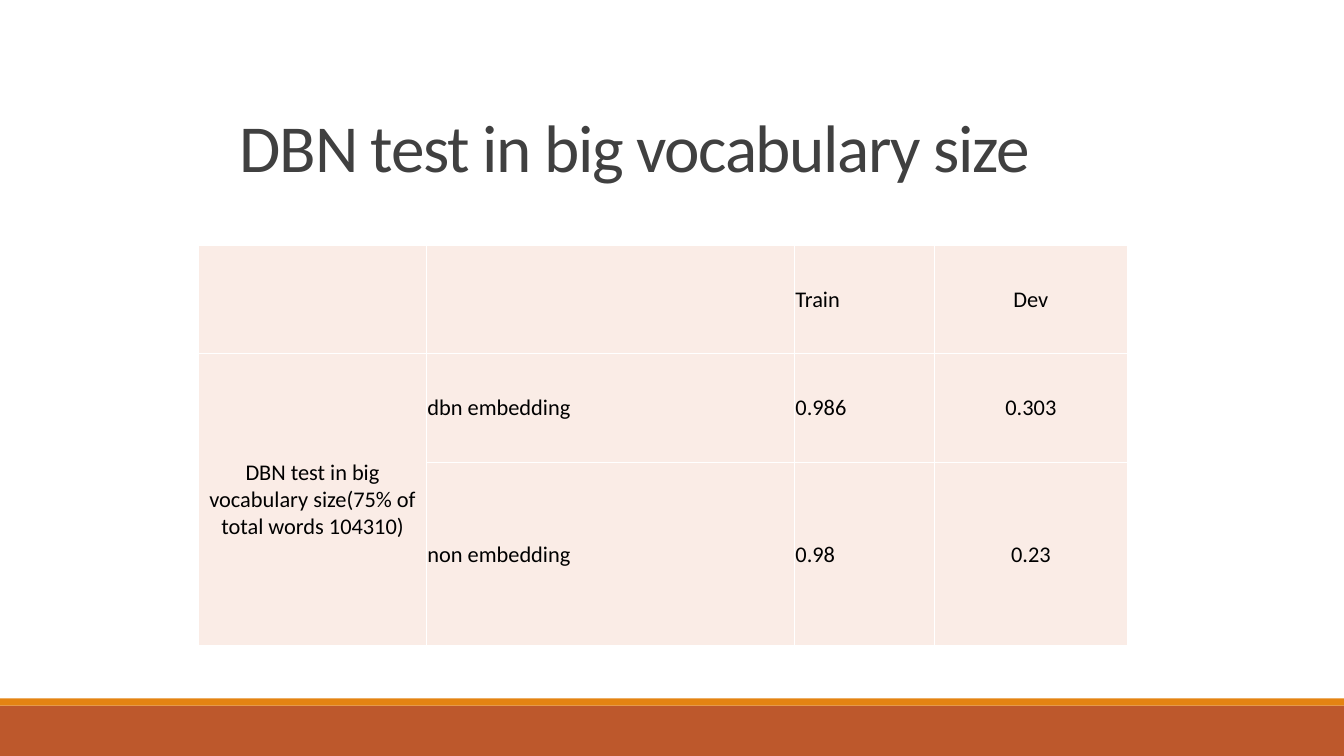
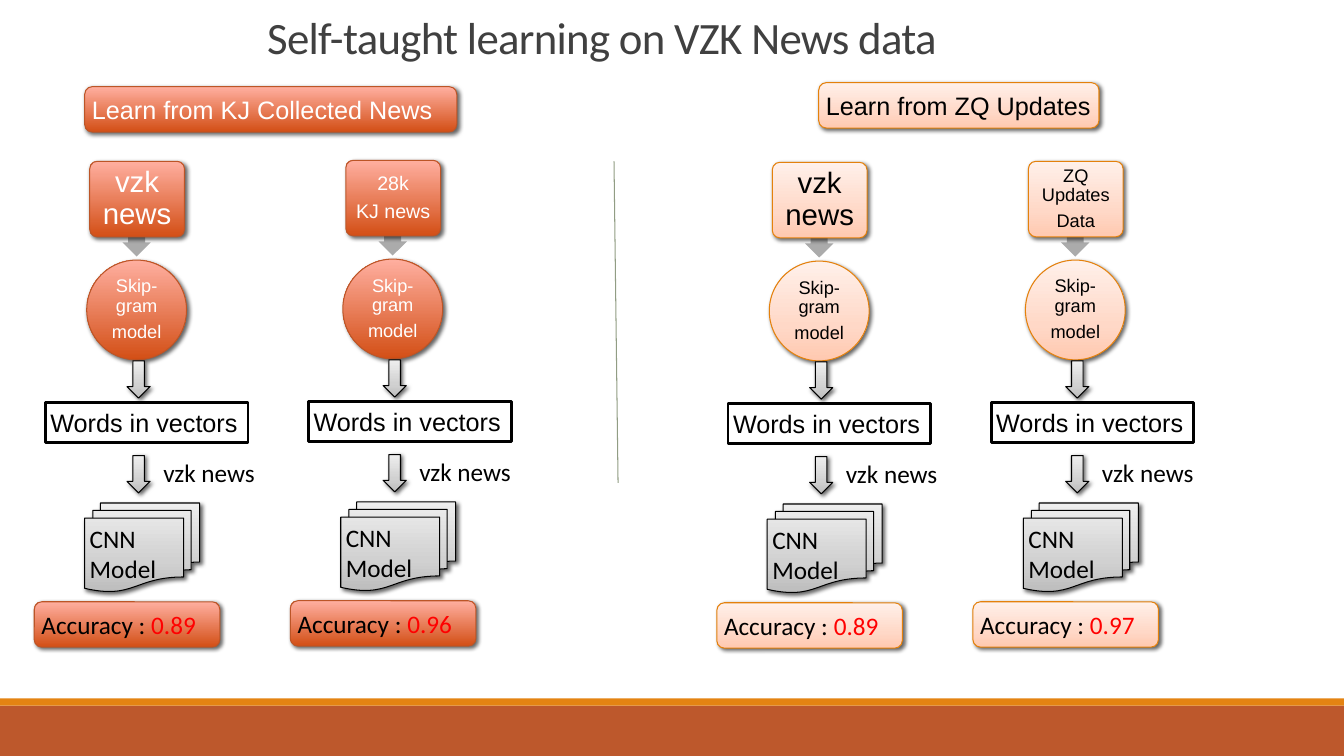
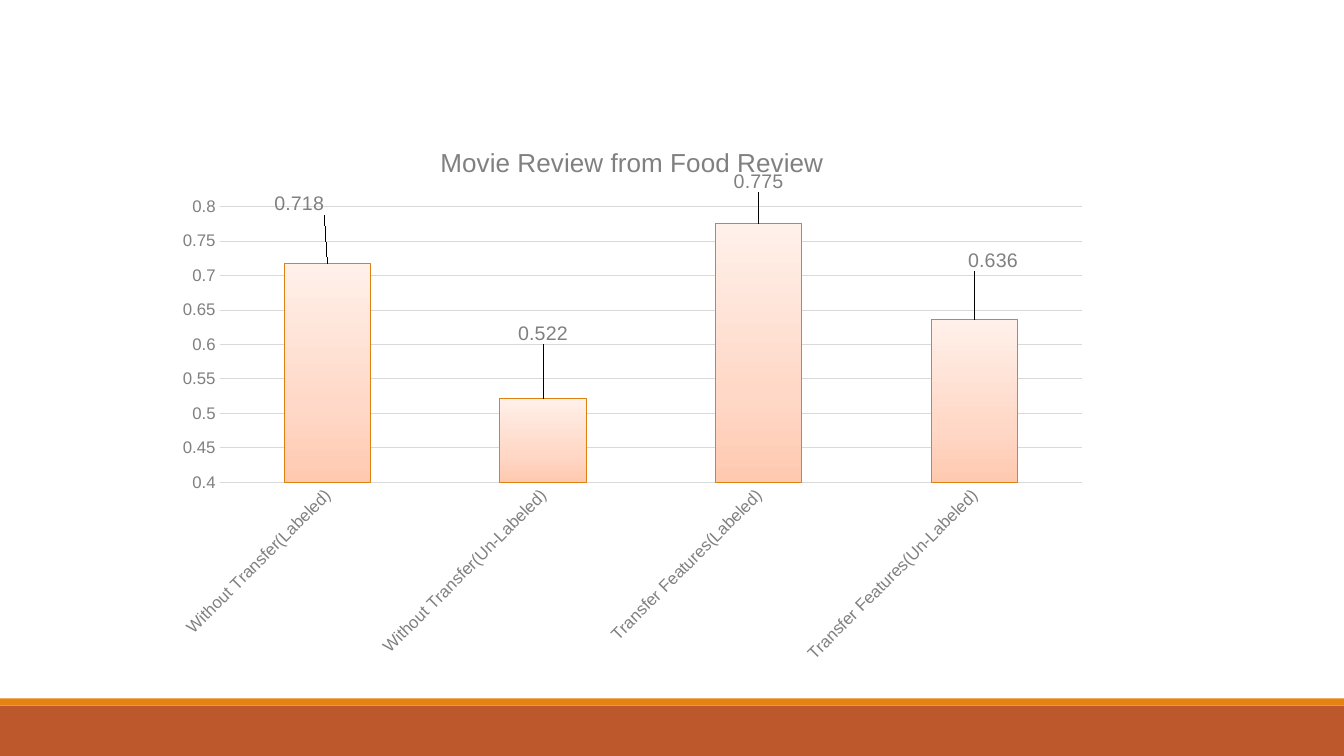
"""Build three slides on word embeddings and transfer learning results."""
from lxml.etree import SubElement
from pptx import Presentation
from pptx.chart.data import CategoryChartData
from pptx.dml.color import RGBColor
from pptx.enum.chart import XL_CHART_TYPE, XL_LABEL_POSITION, XL_TICK_MARK
from pptx.enum.shapes import MSO_CONNECTOR, MSO_SHAPE
from pptx.enum.text import MSO_ANCHOR, MSO_AUTO_SIZE, PP_ALIGN
from pptx.oxml.ns import qn
from pptx.util import Inches, Pt

WIDTH, HEIGHT = 13.33, 7.5
WHITE, BLACK = RGBColor(0xFF, 0xFF, 0xFF), RGBColor(0, 0, 0)
RED = RGBColor(0xFF, 0, 0)
RUST, ORANGE = RGBColor(0xBD, 0x58, 0x2C), RGBColor(0xE4, 0x83, 0x12)
TITLE_GREY, CHART_GREY = RGBColor(0x40, 0x40, 0x40), RGBColor(0x80, 0x80, 0x80)
ARROW_GREY, GRID_GREY = RGBColor(0xAB, 0xAB, 0xAB), RGBColor(0xD9, 0xD9, 0xD9)
SAGE, BLUSH = RGBColor(0x91, 0x9D, 0x84), RGBColor(0xFA, 0xEC, 0xE6)
DARK_EDGE, LIGHT_EDGE = RGBColor(0xBC, 0x55, 0x27), RGBColor(0xE4, 0x81, 0x0C)
BAR_EDGE = RGBColor(0xDF, 0x80, 0x12)
EMBER = [(0, RGBColor(0xD3, 0x4F, 0x16)), (100, RGBColor(0xFF, 0xAF, 0xA0))]
PEACH = [(0, RGBColor(0xFF, 0xC9, 0xB0)), (35, RGBColor(0xFF, 0xD8, 0xC7)),
         (100, RGBColor(0xFF, 0xF0, 0xEA))]
SILVER = [(0, RGBColor(0xBD, 0xBD, 0xBD)), (35, RGBColor(0xD1, 0xD1, 0xD1)),
          (100, RGBColor(0xEE, 0xEE, 0xEE))]
CENTER, LEFT = PP_ALIGN.CENTER, PP_ALIGN.LEFT

BANDS = [(7, 0.5, RUST), (6.93, 0.07, ORANGE)]

COLUMN_WIDTHS = [2.26, 3.65, 1.39, 1.91]
ROW_HEIGHTS = [1.08, 1.08, 1.82]
COLUMN_ALIGNS = [CENTER, LEFT, LEFT, CENTER]
SCORES = [
    ["", "", "Train", "Dev"],
    ["DBN test in big vocabulary size(75% of total words 104310)",
     "dbn embedding", "0.986", "0.303"],
    ["", "non embedding", "0.98", "0.23"],
]

PANELS = [
    {"heading": "Learn from KJ Collected News", "heading_at": (0.84, 0.86, 3.69, 0.45),
     "fill": EMBER, "edge": DARK_EDGE, "ink": WHITE,
     "branches": [(["vzk news"], 21, "0.89"), (["28k", "KJ news"], 14, "0.96")]},
    {"heading": "Learn from ZQ Updates", "heading_at": (8.12, 0.82, 2.78, 0.45),
     "fill": PEACH, "edge": LIGHT_EDGE, "ink": BLACK,
     "branches": [(["vzk news"], 21, "0.89"), (["ZQ Updates", "Data"], 13, "0.97")]},
]
PANEL_STEP, BRANCH_STEP, WORDS_SHIFT = (6.77, 0.01), (2.54, -0.01), 0.07

REVIEW_TITLE = "Movie Review from Food Review"
REVIEW_SCORES = {
    "Without Transfer(Labeled)": 0.718,
    "Without Transfer(Un-Labeled)": 0.522,
    "Transfer Features(Labeled)": 0.775,
    "Transfer Features(Un-Labeled)": 0.636,
}
LABEL_OFFSETS = [(-0.03, -0.08), (0, -0.09), (0, -0.05), (0.02, -0.08)]
PLOT_SHARES = {"x": 0.06, "y": 0.15, "w": 0.92, "h": 0.5}


def write(frame, paragraphs, size=18, font="Calibri", color=BLACK, align=LEFT,
          anchor=None, inset=None, line=None, after=None, tracking=None):
    """Fill a text frame; a paragraph is a string or a list of (text, colour) runs."""
    if inset is not None:
        frame.word_wrap, frame.auto_size = True, MSO_AUTO_SIZE.NONE
        frame.margin_left = frame.margin_right = Inches(inset)
        frame.margin_top = frame.margin_bottom = Inches(inset)
        frame.vertical_anchor = anchor or MSO_ANCHOR.MIDDLE
    for index, content in enumerate(paragraphs):
        paragraph = frame.add_paragraph() if index else frame.paragraphs[0]
        paragraph.alignment = align
        if line:
            paragraph.line_spacing = line
        if after:
            paragraph.space_after = Pt(after)
        runs = [(content, color)] if isinstance(content, str) else content
        for text, ink in runs:
            run = paragraph.add_run()
            run.text = text
            run.font.size, run.font.name = Pt(size), font
            run.font.color.rgb = ink
            if tracking:
                run.font._element.set("spc", str(int(tracking * 100)))


def paint(fill, owner, stops):
    """Fill bottom to top with a gradient."""
    fill.gradient()
    fill.gradient_angle = 90
    stop_list = next(owner.element.iter(qn("a:gsLst")))
    for stop in list(stop_list):
        stop_list.remove(stop)
    for share, color in stops:
        stop = SubElement(stop_list, qn("a:gs"), pos=str(share * 1000))
        SubElement(stop, qn("a:srgbClr"), val=str(color))


def draw(shapes, preset, box, fill, edge=None, weight=0.75, shadow=False):
    """Add a preset shape with a plain or gradient fill."""
    shape = shapes.add_shape(preset, *map(Inches, box))
    if isinstance(fill, list):
        paint(shape.fill, shape, fill)
    else:
        shape.fill.solid()
        shape.fill.fore_color.rgb = fill
    if edge is None:
        shape.line.fill.background()
    else:
        shape.line.color.rgb, shape.line.width = edge, Pt(weight)
    shape.shadow.inherit = False
    if shadow:
        effects = shape.element.spPr.find(qn("a:effectLst"))
        outer = SubElement(effects, qn("a:outerShdw"), blurRad=str(Pt(3)),
                           dist=str(Pt(2)), dir="2700000", rotWithShape="0")
        tint = SubElement(outer, qn("a:srgbClr"), val=str(BLACK))
        SubElement(tint, qn("a:alpha"), val="60000")
    return shape


def add_title(slide, text, box, **style):
    title = slide.shapes.title
    title.left, title.top, title.width, title.height = map(Inches, box)
    write(title.text_frame, [text], color=TITLE_GREY, anchor=MSO_ANCHOR.BOTTOM,
          inset=0.05, line=0.85, **style)


def add_bands(deck, slide):
    """Place the footer bands on the slide master."""
    for index, (top, height, color) in enumerate(BANDS):
        band = draw(slide.shapes, MSO_SHAPE.RECTANGLE, (0, top, WIDTH, height), color)
        band.element.nvSpPr.cNvPr.set("id", str(20 + index))
        deck.slide_master.shapes.element.insert(2 + index, band.element)


def add_scores(slide):
    table = slide.shapes.add_table(
        len(ROW_HEIGHTS), len(COLUMN_WIDTHS), Inches(1.97), Inches(2.43),
        Inches(sum(COLUMN_WIDTHS)), Inches(sum(ROW_HEIGHTS))).table
    table.first_row = table.horz_banding = False
    for column, width in zip(table.columns, COLUMN_WIDTHS):
        column.width = Inches(width)
    for row, height, texts in zip(table.rows, ROW_HEIGHTS, SCORES):
        row.height = Inches(height)
        for cell, text, align in zip(row.cells, texts, COLUMN_ALIGNS):
            cell.margin_left = cell.margin_right = Inches(0.01)
            cell.margin_top = cell.margin_bottom = Inches(0.01)
            cell.vertical_anchor = MSO_ANCHOR.MIDDLE
            properties = cell._tc.get_or_add_tcPr()
            for side in ("a:lnL", "a:lnR", "a:lnT", "a:lnB"):
                border = SubElement(properties, qn(side), w=str(Pt(1)))
                solid = SubElement(border, qn("a:solidFill"))
                SubElement(solid, qn("a:srgbClr"), val=str(WHITE))
            cell.fill.solid()
            cell.fill.fore_color.rgb = BLUSH
            if text:
                write(cell.text_frame, [text], size=16, align=align)
    table.cell(1, 0).merge(table.cell(2, 0))


def add_branch(slide, x, y, words_x, panel, branch):
    """Draw one pipeline from its corpus down to its accuracy."""
    corpus, corpus_size, accuracy = branch
    themed = {"fill": panel["fill"], "edge": panel["edge"], "shadow": True}
    silver = {"fill": SILVER, "edge": BLACK, "shadow": True}
    label = {"font": "Arial", "color": panel["ink"], "align": CENTER, "line": 0.9}
    learner = slide.shapes.add_group_shape().shapes
    model = draw(learner, MSO_SHAPE.OVAL, (x + 0.52, y + 2.58, 0.99, 0.99), **themed)
    write(model.text_frame, ["Skip-gram", "model"], size=13, inset=0.01, after=4.55, **label)
    feed = draw(learner, MSO_SHAPE.LEFT_ARROW, (x + 0.73, y + 2.12, 0.57, 0.28), ARROW_GREY)
    feed.rotation = 270
    feed.adjustments[0] = 0.6
    source = draw(learner, MSO_SHAPE.ROUNDED_RECTANGLE, (x + 0.55, y + 1.6, 0.94, 0.75), **themed)
    source.adjustments[0] = 0.1
    write(source.text_frame, corpus, size=corpus_size, inset=0.03,
          after=round(corpus_size * 0.35, 2), **label)

    for top in (3.58, 4.52):
        draw(slide.shapes, MSO_SHAPE.DOWN_ARROW, (x + 0.92, y + top, 0.23, 0.37), **silver)
    words = draw(slide.shapes, MSO_SHAPE.RECTANGLE, (words_x, y + 3.99, 2.01, 0.4),
                 WHITE, BLACK, 2)
    write(words.text_frame, ["Words in vectors"], font="Arial", inset=0.05)
    classifier = draw(slide.shapes, MSO_SHAPE.FLOWCHART_MULTIDOCUMENT,
                      (x + 0.5, y + 4.99, 1.14, 0.88), **silver)
    write(classifier.text_frame, ["CNN Model"], inset=0.05)
    test_data = slide.shapes.add_textbox(*map(Inches, (x + 1.23, y + 4.49, 1.17, 0.4)))
    write(test_data.text_frame, ["vzk news"], inset=0.05)
    result = draw(slide.shapes, MSO_SHAPE.ROUNDED_RECTANGLE,
                  (x, y + 5.97, 1.84, 0.45), **themed)
    write(result.text_frame, [[("Accuracy : ", BLACK), (accuracy, RED)]], inset=0.05)


def add_panels(slide):
    for p, panel in enumerate(PANELS):
        for b, branch in enumerate(panel["branches"]):
            x = 0.34 + p * PANEL_STEP[0] + b * BRANCH_STEP[0]
            y = p * PANEL_STEP[1] + b * BRANCH_STEP[1]
            add_branch(slide, x, y, x + 0.11 + b * WORDS_SHIFT, panel, branch)
        heading = draw(slide.shapes, MSO_SHAPE.ROUNDED_RECTANGLE, panel["heading_at"],
                       panel["fill"], panel["edge"], shadow=True)
        write(heading.text_frame, [panel["heading"]], font="Arial",
              color=panel["ink"], inset=0.05)
    divider = slide.shapes.add_connector(
        MSO_CONNECTOR.STRAIGHT, *map(Inches, (6.09, 1.6, 6.13, 4.79)))
    divider.line.color.rgb, divider.line.width = SAGE, Pt(0.75)
    SubElement(divider.element.spPr, qn("a:effectLst"))


def set_layout(parent, index, **values):
    """Insert a manual chart layout given as shares of the chart."""
    for old in parent.findall(qn("c:layout")):
        parent.remove(old)
    layout = SubElement(parent, qn("c:layout"))
    parent.insert(index, layout)
    manual = SubElement(layout, qn("c:manualLayout"))
    for key, value in values.items():
        SubElement(manual, qn("c:" + key), val=str(value))


def style_font(font, size):
    font.name, font.size, font.color.rgb = "Arial", Pt(size), CHART_GREY


def add_reviews(slide):
    data = CategoryChartData()
    data.categories = list(REVIEW_SCORES)
    data.add_series(REVIEW_TITLE, list(REVIEW_SCORES.values()))
    chart = slide.shapes.add_chart(XL_CHART_TYPE.COLUMN_CLUSTERED,
                                   *map(Inches, (1.62, 1.23, 9.3, 5.47)), data).chart
    chart.font.name, chart.font.size = "Arial", Pt(10)
    chart.has_legend = False
    chart.has_title = True
    write(chart.chart_title.text_frame, [REVIEW_TITLE], size=18.6, font="Arial",
          color=CHART_GREY, align=CENTER)
    chart.chart_title.text_frame.paragraphs[0].runs[0].font.bold = False

    for axis in (chart.category_axis, chart.value_axis):
        axis.major_tick_mark = axis.minor_tick_mark = XL_TICK_MARK.NONE
        axis.format.line.fill.background()
        style_font(axis.tick_labels.font, 12)
    scale = chart.value_axis
    scale.minimum_scale, scale.maximum_scale, scale.major_unit = 0.4, 0.8, 0.05
    scale.major_gridlines.format.line.color.rgb = GRID_GREY
    scale.major_gridlines.format.line.width = Pt(0.75)
    category_axis = next(chart.element.iter(qn("c:catAx")))
    next(category_axis.iter(qn("a:bodyPr"))).set("rot", "-2700000")

    plot = chart.plots[0]
    plot.gap_width, plot.vary_by_categories = 150, False
    bars = plot.series[0]
    paint(bars.format.fill, chart, PEACH)
    bars.format.line.color.rgb, bars.format.line.width = BAR_EDGE, Pt(0.75)
    bars.data_labels.show_value = True
    style_font(bars.data_labels.font, 14)
    for index in range(len(REVIEW_SCORES)):
        label = bars.points[index].data_label
        style_font(label.font, 14)
        label.position = XL_LABEL_POSITION.OUTSIDE_END
    for label, (x, y) in zip(chart.element.iter(qn("c:dLbl")), LABEL_OFFSETS):
        set_layout(label, 1, x=x, y=y)
    set_layout(next(chart.element.iter(qn("c:plotArea"))), 0,
               layoutTarget="inner", xMode="edge", yMode="edge", **PLOT_SHARES)


def main():
    deck = Presentation()
    deck.slide_width, deck.slide_height = Inches(WIDTH), Inches(HEIGHT)
    title_only, blank = deck.slide_layouts[5], deck.slide_layouts[6]

    vocabulary = deck.slides.add_slide(title_only)
    add_bands(deck, vocabulary)
    add_title(vocabulary, "DBN test in big vocabulary size", (2.33, 0.31, 11, 1.59),
              size=48, tracking=-1)
    add_scores(vocabulary)

    self_taught = deck.slides.add_slide(title_only)
    add_title(self_taught, "Self-taught learning on VZK News data",
              (2.36, -0.1, 7.22, 0.78), size=32, tracking=-0.5, align=CENTER)
    add_panels(self_taught)

    add_reviews(deck.slides.add_slide(blank))
    deck.save("out.pptx")


if __name__ == "__main__":
    main()
